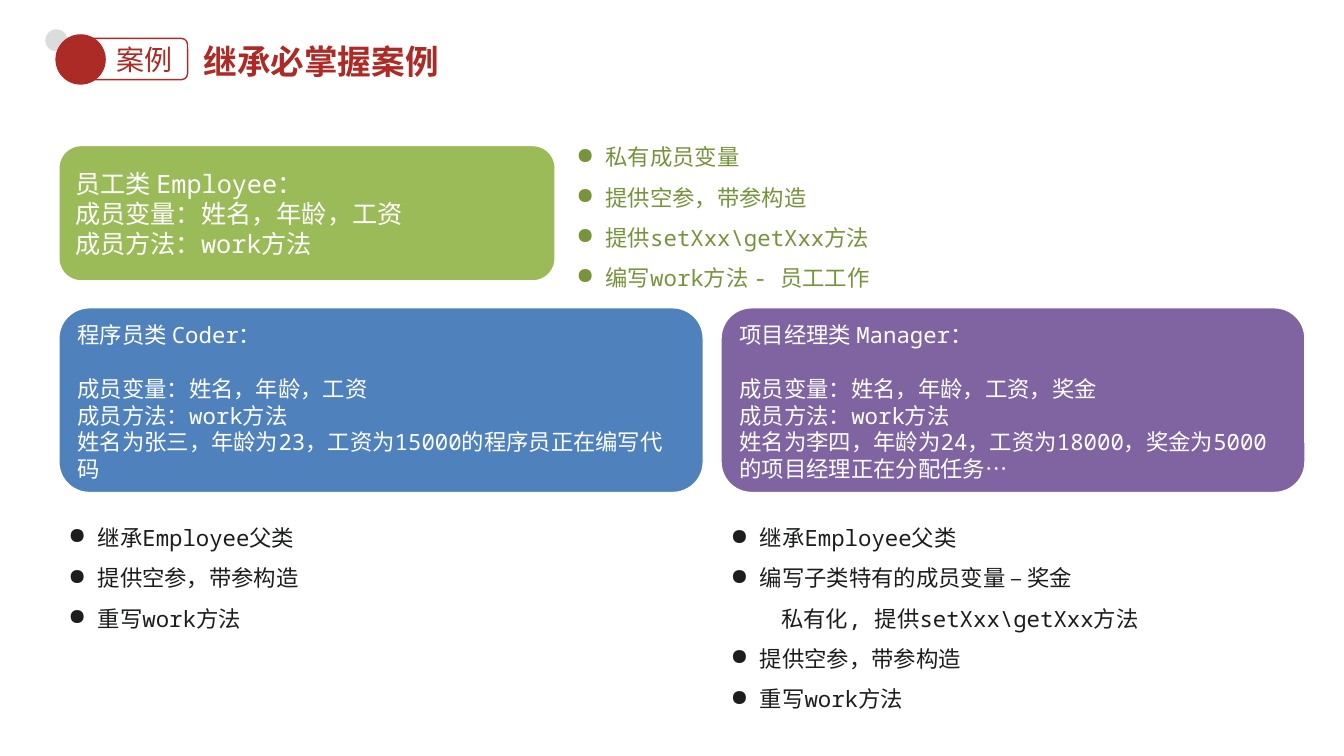
from lxml.etree import SubElement
from pptx import Presentation
from pptx.dml.color import RGBColor
from pptx.enum.shapes import MSO_SHAPE
from pptx.enum.text import MSO_ANCHOR, MSO_AUTO_SIZE, PP_ALIGN
from pptx.oxml.ns import qn
from pptx.util import Pt

RED = RGBColor(0xAD, 0x2B, 0x26)
GREY = RGBColor(0xDA, 0xDD, 0xDC)
WHITE = RGBColor(0xFF, 0xFF, 0xFF)
GREEN = RGBColor(0x9B, 0xBB, 0x59)
DARK_GREEN = RGBColor(0x77, 0x93, 0x3C)
BLUE = RGBColor(0x4F, 0x81, 0xBD)
PURPLE = RGBColor(0x80, 0x64, 0xA2)
INK = RGBColor(0x1B, 0x1E, 0x1D)

BODY_FONT = "Noto Sans Mono"
TAG_FONT = "Roboto"
LEFT, RIGHT = 41.8, 514.8
CARD_TOP, CARD_HEIGHT = 219.6, 132.5
LIST_TOP = 361.4
INDENT = 20.9
HEADING_GAP = 19


def apply(target, values):
    for name, value in values.items():
        setattr(target, name, value)


def write(paragraph, words, size, color, font=BODY_FONT, bold=False):
    paragraph.alignment = PP_ALIGN.LEFT
    run = paragraph.add_run()
    run.text = words
    apply(run.font, {"name": font, "size": Pt(size), "bold": bold})
    run.font.color.rgb = color


def paragraphs(frame, lines):
    for index, line in enumerate(lines):
        yield (frame.add_paragraph() if index else frame.paragraphs[0]), line


def add_outline(slide, preset, box, fill=None, line=None, width=1):
    outline = slide.shapes.add_shape(preset, *map(Pt, box))
    outline.shadow.inherit = False
    if fill is None:
        outline.fill.background()
    else:
        outline.fill.solid()
        outline.fill.fore_color.rgb = fill
    if line is None:
        outline.line.fill.background()
    else:
        outline.line.color.rgb = line
        outline.line.width = Pt(width)
    return outline


def add_class_card(slide, box, fill, lines, size=16, anchor=MSO_ANCHOR.TOP, gap=0):
    card = add_outline(slide, MSO_SHAPE.ROUNDED_RECTANGLE, box, fill, WHITE, 1.5)
    frame = card.text_frame
    apply(frame, {"word_wrap": True, "vertical_anchor": anchor})
    for paragraph, words in paragraphs(frame, lines):
        write(paragraph, words, size, WHITE)
    frame.paragraphs[1].space_before = Pt(gap)


def add_text(slide, box):
    frame = slide.shapes.add_textbox(*map(Pt, box)).text_frame
    apply(frame, {"word_wrap": True, "auto_size": MSO_AUTO_SIZE.SHAPE_TO_FIT_TEXT})
    return frame


def add_steps(slide, box, color, steps):
    frame = add_text(slide, box)
    for paragraph, (words, level) in paragraphs(frame, steps):
        apply(paragraph, {"line_spacing": 1.5, "level": level})
        properties = paragraph._p.get_or_add_pPr()
        margin, hanging = (36, 0) if level else (INDENT, -INDENT)
        properties.set("marL", str(Pt(margin)))
        properties.set("indent", str(Pt(hanging)))
        if not level:
            SubElement(properties, qn("a:buChar")).set("char", "●")
        write(paragraph, words, 16, color)


def add_header(slide):
    add_outline(slide, MSO_SHAPE.OVAL, (32.4, 20.9, 15.8, 15.8), GREY)
    tag = add_outline(slide, MSO_SHAPE.ROUNDED_RECTANGLE,
                      (52.6, 27.4, 81.4, 29.5), line=RED)
    tag.adjustments[0] = 0.15
    add_outline(slide, MSO_SHAPE.OVAL, (39.6, 24.5, 36, 36), RED)
    label = add_text(slide, (76.3, 26.6, 58.3, 31.7))
    write(label.paragraphs[0], "案例", 20, RED, TAG_FONT)

    title = slide.shapes.title
    apply(title, {"left": Pt(138.2), "top": Pt(25.2),
                  "width": Pt(766.8), "height": Pt(37.4)})
    apply(title.text_frame, {"vertical_anchor": MSO_ANCHOR.MIDDLE,
                             "auto_size": MSO_AUTO_SIZE.NONE})
    write(title.text_frame.paragraphs[0], "继承必掌握案例", 24, RED, bold=True)


def main():
    deck = Presentation()
    apply(deck, {"slide_width": Pt(960), "slide_height": Pt(540)})
    slide = deck.slides.add_slide(deck.slide_layouts[5])
    add_header(slide)

    add_class_card(slide, (RIGHT, CARD_TOP, 417.6, CARD_HEIGHT), PURPLE, [
        "项目经理类 Manager：",
        "成员变量：姓名，年龄，工资，奖金",
        "成员方法：work方法",
        "姓名为李四，年龄为24，工资为18000，奖金为5000的项目经理正在分配任务…",
    ], gap=HEADING_GAP)
    add_class_card(slide, (LEFT, CARD_TOP, 460.8, CARD_HEIGHT), BLUE, [
        "程序员类 Coder：",
        "成员变量：姓名，年龄，工资",
        "成员方法：work方法",
        "姓名为张三，年龄为23，工资为15000的程序员正在编写代码",
    ], gap=HEADING_GAP)
    add_class_card(slide, (LEFT, 103.7, 355, 97.2), GREEN, [
        "员工类 Employee：",
        "成员变量：姓名，年龄，工资",
        "成员方法：work方法",
    ], size=18, anchor=MSO_ANCHOR.MIDDLE)

    add_steps(slide, (404.6, 89.3, 271.4, 121), DARK_GREEN, [
        ("私有成员变量", 0),
        ("提供空参，带参构造", 0),
        ("提供setXxx\\getXxx方法", 0),
        ("编写work方法 - 员工工作", 0),
    ])
    add_steps(slide, (LEFT, LIST_TOP, 409.7, 91.4), INK, [
        ("继承Employee父类", 0),
        ("提供空参，带参构造", 0),
        ("重写work方法", 0),
    ])
    add_steps(slide, (RIGHT, LIST_TOP, 440.6, 149.8), INK, [
        ("继承Employee父类", 0),
        ("编写子类特有的成员变量 – 奖金", 0),
        ("私有化, 提供setXxx\\getXxx方法", 1),
        ("提供空参，带参构造", 0),
        ("重写work方法", 0),
    ])
    deck.save("out.pptx")


if __name__ == "__main__":
    main()
